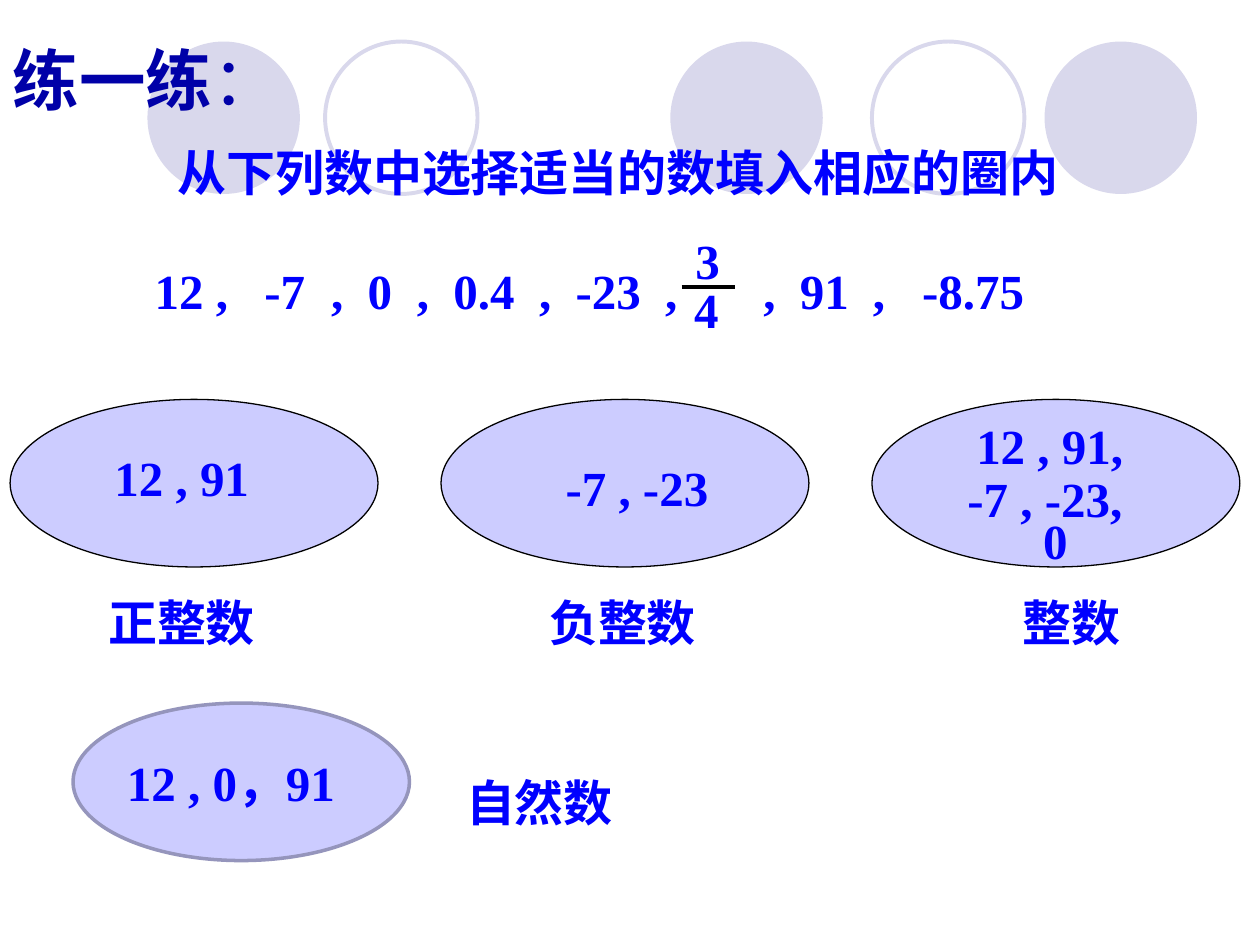
from dataclasses import dataclass

from lxml.etree import SubElement
from pptx import Presentation
from pptx.dml.color import RGBColor
from pptx.enum.shapes import MSO_CONNECTOR, MSO_SHAPE
from pptx.enum.text import MSO_ANCHOR, MSO_AUTO_SIZE, PP_ALIGN
from pptx.oxml.ns import qn
from pptx.util import Inches, Pt


@dataclass(frozen=True)
class Theme:
    title_color: RGBColor = RGBColor.from_string("0000A8")
    body_color: RGBColor = RGBColor.from_string("0000FF")
    circle: RGBColor = RGBColor.from_string("D9D8EC")
    oval: RGBColor = RGBColor.from_string("CCCCFF")
    oval_edge: RGBColor = RGBColor.from_string("9595BC")
    black: RGBColor = RGBColor.from_string("000000")
    title_font: str = "Arial"
    body_font: str = "Times New Roman"
    title_size: Pt = Pt(38)
    body_size: Pt = Pt(28)


THEME = Theme()


def apply_format(target, values):
    for name, value in values.items():
        setattr(target, name, value)


def style_font(font, color, **values):
    apply_format(font, values)
    font.color.rgb = color


def style_body(paragraph):
    style_font(paragraph.font, THEME.body_color, name=THEME.body_font,
               size=THEME.body_size, bold=True)


def add_ellipse(slide, left, top, width, height, fill=None, line=None, weight=0.75):
    shape = slide.shapes.add_shape(
        MSO_SHAPE.OVAL, Inches(left), Inches(top), Inches(width), Inches(height))
    shape.shadow.inherit = False
    if fill is None:
        shape.fill.background()
    else:
        shape.fill.solid()
        shape.fill.fore_color.rgb = fill
    if line is None:
        shape.line.fill.background()
    else:
        shape.line.color.rgb = line
        shape.line.width = Pt(weight)


def add_label(slide, text, left, top, width):
    box = slide.shapes.add_textbox(
        Inches(left), Inches(top), Inches(width), Inches(0.57))
    apply_format(box.text_frame, {
        "word_wrap": True, "auto_size": MSO_AUTO_SIZE.NONE})
    paragraph = box.text_frame.paragraphs[0]
    paragraph.text = text
    style_body(paragraph)


def add_tab_stops(paragraph, positions):
    tab_list = SubElement(paragraph._p.get_or_add_pPr(), qn("a:tabLst"))
    for position in positions:
        SubElement(tab_list, qn("a:tab"), pos=str(Inches(position)), algn="l")


def add_title(slide):
    title = slide.shapes.title
    apply_format(title, {"left": 0, "top": 0,
                         "width": Inches(3.75), "height": Inches(1.25)})
    apply_format(title.text_frame, {
        "vertical_anchor": MSO_ANCHOR.MIDDLE, "auto_size": MSO_AUTO_SIZE.NONE})
    paragraph = title.text_frame.paragraphs[0]
    paragraph.alignment = PP_ALIGN.LEFT
    for text, bold in (("练一练", True), ("：", False)):
        run = paragraph.add_run()
        run.text = text
        style_font(run.font, THEME.title_color, name=THEME.title_font,
                   size=THEME.title_size, bold=bold)
    # Bring the title in front of the circles
    title.element.getparent().append(title.element)


def add_task(slide):
    box = slide.shapes.add_textbox(Inches(1.13), Inches(1.08), Inches(7.6), Inches(1.5))
    frame = box.text_frame
    frame.word_wrap = True
    instruction = frame.paragraphs[0]
    instruction.text = "从下列数中选择适当的数填入相应的圈内"
    instruction._p.get_or_add_pPr().set("marL", str(Inches(0.18)))
    numbers = frame.add_paragraph()
    numbers.text = "12 ,\t-7\t,\t0\t,\t0.4\t,\t-23\t,\t,\t91\t,\t-8.75"
    numbers.space_before = Pt(34)
    add_tab_stops(numbers, (0.87, 1.4, 1.69, 2.08, 2.37, 3.05, 3.34, 4.05,
                            4.83, 5.12, 5.7, 6.09))
    for paragraph in frame.paragraphs:
        style_body(paragraph)


def add_fraction(slide):
    add_label(slide, "4", 5.41, 2.17, 0.45)
    add_label(slide, "3", 5.42, 1.78, 0.45)
    bar = slide.shapes.add_connector(
        MSO_CONNECTOR.STRAIGHT, Inches(5.41), Inches(2.28), Inches(5.83), Inches(2.28))
    bar.line.color.rgb = THEME.black
    bar.line.width = Pt(2.25)
    SubElement(bar.element.spPr, qn("a:effectLst"))


def main():
    presentation = Presentation()
    presentation.slide_width = Inches(10)
    presentation.slide_height = Inches(7.5)
    slide = presentation.slides.add_slide(presentation.slide_layouts[5])

    # Decorative circles, filled and outlined
    for left in (1.17, 5.32, 8.29):
        add_ellipse(slide, left, 0.33, 1.21, 1.21, fill=THEME.circle)
    for left in (2.58, 6.92):
        add_ellipse(slide, left, 0.33, 1.21, 1.21, line=THEME.circle, weight=2.25)

    # Title and the numbers to sort
    add_title(slide)
    add_task(slide)
    add_fraction(slide)

    # Number sets
    for column in range(3):
        add_ellipse(slide, 0.08 + 3.42 * column, 3.17, 2.92, 1.33,
                    THEME.oval, THEME.black)
    add_ellipse(slide, 0.58, 5.58, 2.67, 1.25, THEME.oval, THEME.oval_edge, 2)

    # Answers inside the sets and names below or beside them
    for label in (
        ("12 , 91", 0.81, 3.5, 1.4),
        ("-7 , -23", 4.39, 3.58, 1.45),
        ("12 , 91,", 7.65, 3.25, 1.5),
        ("-7 , -23,", 7.58, 3.67, 1.58),
        ("0", 8.18, 4, 0.45),
        ("12 , 0，91", 0.91, 5.92, 2.2),
        ("正整数", 0.76, 4.65, 1.5),
        ("负整数", 4.26, 4.65, 1.5),
        ("整数", 8.02, 4.65, 1.1),
        ("自然数", 3.6, 6.08, 2.08),
    ):
        add_label(slide, *label)

    presentation.save("out.pptx")


if __name__ == "__main__":
    main()
